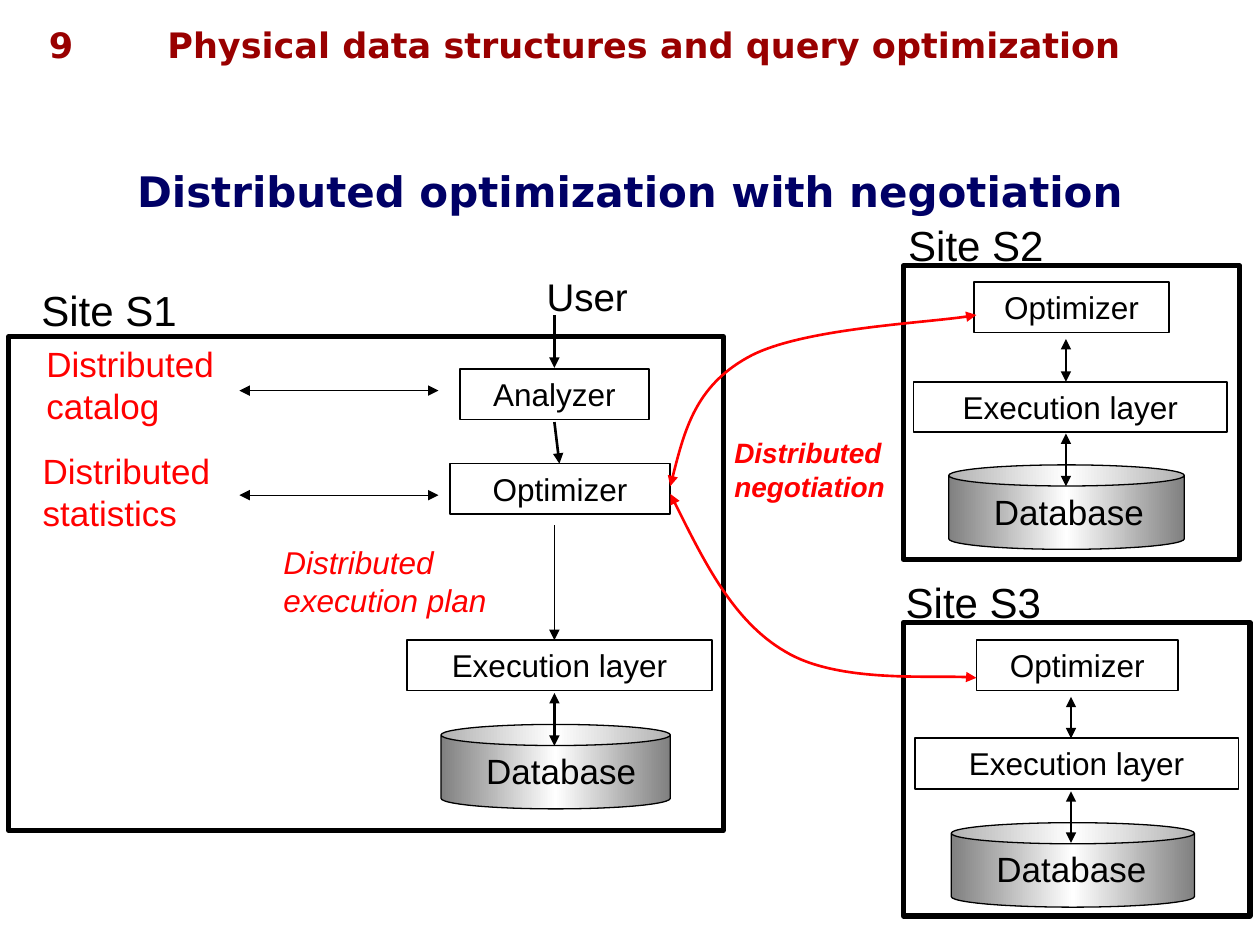
from copy import deepcopy

from pptx import Presentation
from pptx.dml.color import RGBColor
from pptx.enum.shapes import MSO_CONNECTOR, MSO_SHAPE
from pptx.enum.text import MSO_ANCHOR, PP_ALIGN
from pptx.oxml.ns import qn
from pptx.oxml.xmlchemy import OxmlElement
from pptx.util import Inches, Pt

COLORS = {
    "header": "990000",
    "title": "000066",
    "ink": "000000",
    "accent": "FF0000",
    "can_edge": "808080",
    "can_middle": "FFFFFF",
}


def write(holder, words, size, color="ink", font="Arial", bold=False,
          italic=False, align=PP_ALIGN.LEFT, anchor=MSO_ANCHOR.TOP):
    frame = holder.text_frame
    frame.word_wrap = True
    frame.vertical_anchor = anchor
    frame.text = words
    for paragraph in frame.paragraphs:
        paragraph.alignment = align
        paragraph.font.name = font
        paragraph.font.size = Pt(size)
        paragraph.font.bold = bold
        paragraph.font.italic = italic
        paragraph.font.color.rgb = RGBColor.from_string(COLORS[color])


def style_arrow(arrow, width, both_ends, color="ink"):
    arrow.line.color.rgb = RGBColor.from_string(COLORS[color])
    arrow.line.width = Pt(width)
    properties = arrow._element.spPr
    for tag in ["a:headEnd", "a:tailEnd"] if both_ends else ["a:tailEnd"]:
        tip = OxmlElement(tag)
        tip.set("type", "triangle")
        properties.find(qn("a:ln")).append(tip)
    properties.append(OxmlElement("a:effectLst"))


prs = Presentation()
prs.slide_width, prs.slide_height = Inches(10), Inches(7.5)
slide = prs.slides.add_slide(prs.slide_layouts[5])
shapes = slide.shapes

# Title
title = shapes.title
title.left, title.top = Inches(0), Inches(1.24)
title.width, title.height = Inches(10), Inches(0.54)
write(title, "Distributed optimization with negotiation", 24, "title",
      "DejaVu Sans", bold=True, align=PP_ALIGN.CENTER, anchor=MSO_ANCHOR.MIDDLE)

# Running header and page number
for words, x, width, align in [
    ("Physical data structures and query optimization", 1.23, 8.51, PP_ALIGN.LEFT),
    ("9", 0.13, 0.71, PP_ALIGN.CENTER),
]:
    header = shapes.add_textbox(Inches(x), Inches(0.14), Inches(width), Inches(0.44))
    write(header, words, 20, "header", "DejaVu Sans", bold=True, align=align)

# Site frames and their names
for name, name_x, name_y, x, y, width, height in [
    ("Site S1", 0.23, 2.21, 0.07, 2.67, 5.67, 3.92),
    ("Site S2", 7.11, 1.69, 7.17, 2.11, 2.67, 2.33),
    ("Site S3", 7.09, 4.53, 7.17, 4.94, 2.75, 2.33),
]:
    frame = shapes.add_shape(MSO_SHAPE.RECTANGLE, Inches(x), Inches(y),
                             Inches(width), Inches(height))
    frame.shadow.inherit = False
    frame.fill.background()
    frame.line.color.rgb = RGBColor.from_string(COLORS["ink"])
    frame.line.width = Pt(3)
    site_name = shapes.add_textbox(Inches(name_x), Inches(name_y),
                                   Inches(1.4), Inches(0.5))
    write(site_name, name, 24)

# Databases
for x, y, width in [(3.5, 5.75, 1.82), (7.53, 3.69, 1.87), (7.55, 6.53, 1.93)]:
    database = shapes.add_shape(MSO_SHAPE.CAN, Inches(x), Inches(y),
                                Inches(width), Inches(0.67))
    database.shadow.inherit = False
    database.line.color.rgb = RGBColor.from_string(COLORS["ink"])
    database.line.width = Pt(0.75)
    database.fill.gradient()
    stop_list = database._element.spPr.find(qn("a:gradFill")).find(qn("a:gsLst"))
    stop_list.append(deepcopy(stop_list[0]))
    for stop, position, color in zip(database.fill.gradient_stops, [0, 0.5, 1],
                                     ["can_edge", "can_middle", "can_edge"]):
        stop.position = position
        stop.color.rgb = RGBColor.from_string(COLORS[color])
    database.fill.gradient_angle = 0
    database_name = shapes.add_textbox(Inches(x + 0.26), Inches(y + 0.15),
                                       Inches(1.5), Inches(0.44))
    write(database_name, "Database", 20)

# Processing steps
for step, x, y, width in [
    ("Analyzer", 3.65, 2.93, 1.5),
    ("Optimizer", 3.57, 3.68, 1.75),
    ("Execution layer", 3.23, 5.08, 2.42),
    ("Optimizer", 7.73, 2.24, 1.55),
    ("Execution layer", 7.25, 3.03, 2.49),
    ("Optimizer", 7.75, 5.08, 1.6),
    ("Execution layer", 7.26, 5.86, 2.57),
]:
    box = shapes.add_shape(MSO_SHAPE.RECTANGLE, Inches(x), Inches(y),
                           Inches(width), Inches(0.4))
    box.shadow.inherit = False
    box.fill.background()
    box.line.color.rgb = RGBColor.from_string(COLORS["ink"])
    box.line.width = Pt(1)
    write(box, step, 18, align=PP_ALIGN.CENTER)

# Labels
for words, x, y, width, height, size, color, bold, italic in [
    ("User", 4.24, 2.12, 1, 0.47, 22, "ink", False, False),
    ("Distributed catalog", 0.27, 2.67, 2.04, 0.77, 20, "accent", False, False),
    ("Distributed\nstatistics", 0.24, 3.52, 1.6, 0.77, 20, "accent", False, False),
    ("Distributed execution plan", 2.15, 4.26, 2.29, 0.7, 18, "accent", False, True),
    ("Distributed negotiation", 5.73, 3.41, 1.5, 0.64, 16, "accent", True, True),
]:
    label = shapes.add_textbox(Inches(x), Inches(y), Inches(width), Inches(height))
    write(label, words, size, color, bold=bold, italic=italic)

# Straight arrows: start, end, line width, heads at both ends
for x1, y1, x2, y2, width, both_ends in [
    (1.9, 3.1, 3.48, 3.1, 0.75, True),
    (1.9, 3.93, 3.48, 3.93, 0.75, True),
    (4.4, 2.5, 4.4, 2.92, 1.5, False),
    (4.4, 3.35, 4.44, 3.68, 1.5, False),
    (4.4, 4.17, 4.4, 5.08, 0.75, False),
    (4.4, 5.5, 4.4, 5.92, 1.5, True),
    (8.46, 2.69, 8.46, 3.03, 1.5, True),
    (8.46, 3.44, 8.46, 3.86, 1.5, True),
    (8.5, 5.53, 8.5, 5.86, 1.5, True),
    (8.5, 6.28, 8.5, 6.69, 1.5, True),
]:
    flow = shapes.add_connector(MSO_CONNECTOR.STRAIGHT, Inches(x1), Inches(y1),
                                Inches(x2), Inches(y2))
    style_arrow(flow, width, both_ends)

# Negotiation curves: a start, then two Bezier segments of three points each
for start, *controls in [
    [(5.32, 3.86), (5.42, 3.46), (5.52, 3.07), (5.93, 2.84),
     (6.33, 2.61), (7.45, 2.56), (7.75, 2.5)],
    [(5.32, 3.92), (5.57, 4.42), (5.82, 4.93), (6.23, 5.17),
     (6.64, 5.42), (7.5, 5.35), (7.75, 5.38)],
]:
    builder = shapes.build_freeform(Inches(start[0]), Inches(start[1]))
    builder.add_line_segments([(Inches(x), Inches(y)) for x, y in controls], close=False)
    negotiation = builder.convert_to_shape()
    outline = next(negotiation._element.iter(qn("a:path")))
    segments = outline.findall(qn("a:lnTo"))
    for first in range(0, len(segments), 3):
        bezier = OxmlElement("a:cubicBezTo")
        for segment in segments[first:first + 3]:
            bezier.append(segment[0])
            outline.remove(segment)
        outline.append(bezier)
    negotiation.fill.background()
    style_arrow(negotiation, 1.5, True, "accent")

prs.save("out.pptx")
